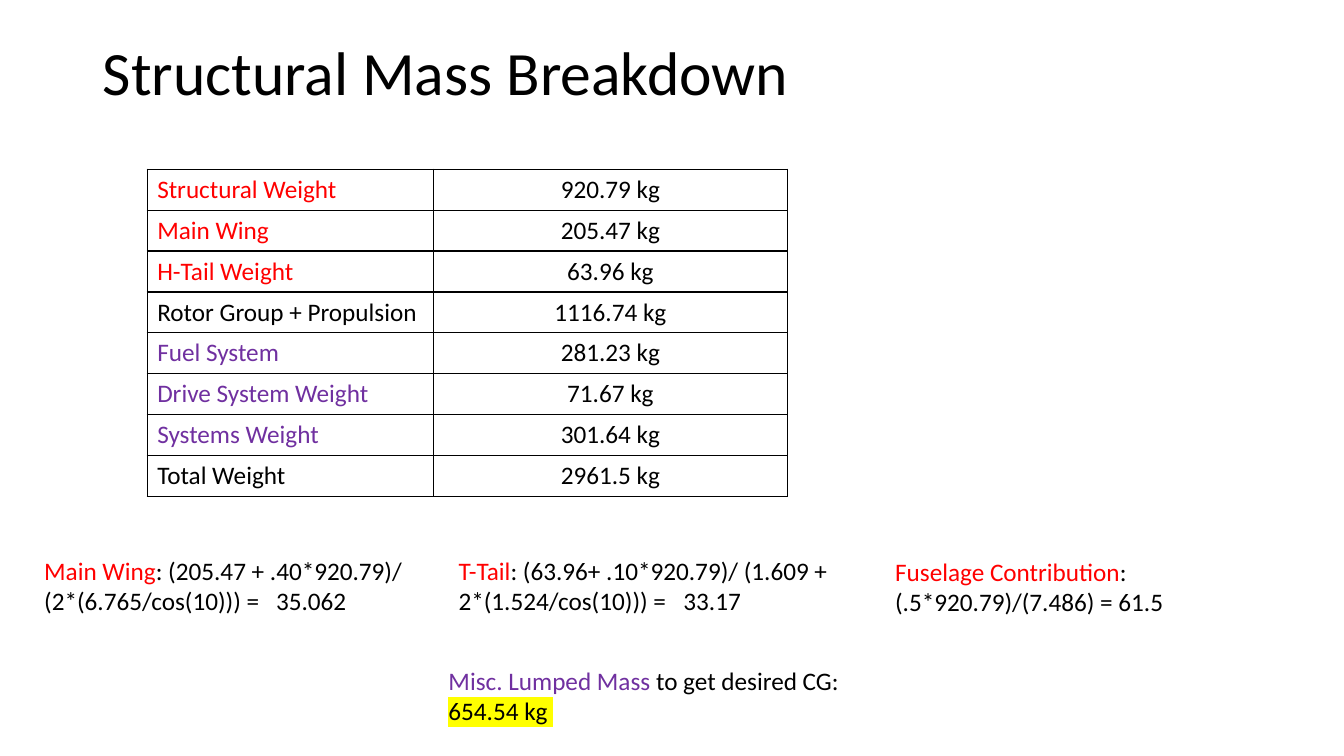
from dataclasses import dataclass
from typing import NamedTuple

from lxml import etree
from pptx import Presentation
from pptx import util as u
from pptx.dml import color as col
from pptx.enum import text as t
from pptx.oxml import ns


@dataclass(frozen=True)
class Theme:
    font: str = "Calibri"
    head: int = 44
    body: int = 18
    black: str = "000000"
    red: str = "FF0000"
    purple: str = "7030A0"
    yellow: str = "FFFF00"
    line: float = 1


class Row(NamedTuple):
    label: str
    mass: str
    color: str


class Piece(NamedTuple):
    words: str
    color: str
    mark: str = ""


class Note(NamedTuple):
    left: float
    top: float
    pieces: list[Piece]
    tab: float = 0


THEME = Theme()

ROWS = [
    Row("Structural Weight", "920.79 kg", THEME.red),
    Row("Main Wing", "205.47 kg", THEME.red),
    Row("H-Tail Weight", "63.96 kg", THEME.red),
    Row("Rotor Group + Propulsion", "1116.74 kg", THEME.black),
    Row("Fuel System", "281.23 kg", THEME.purple),
    Row("Drive System Weight", "71.67 kg", THEME.purple),
    Row("Systems Weight", "301.64 kg", THEME.purple),
    Row("Total Weight", "2961.5 kg", THEME.black),
]

NOTES = [
    Note(0.34, 5.46, [
        Piece("Main Wing", THEME.red),
        Piece(": (205.47 + .40*920.79)/ (2*(6.765/cos(10))) =\t35.062", THEME.black),
    ], tab=2.3),
    Note(4.45, 5.46, [
        Piece("T-Tail", THEME.red),
        Piece(": (63.96+ .10*920.79)/ (1.609 + 2*(1.524/cos(10))) =\t33.17", THEME.black),
    ], tab=2.23),
    Note(8.78, 5.47, [
        Piece("Fuselage Contribution", THEME.red),
        Piece(": (.5*920.79)/(7.486) = 61.5", THEME.black),
    ]),
    Note(4.35, 6.55, [
        Piece("Misc. Lumped Mass ", THEME.purple),
        Piece("to get desired CG: ", THEME.black),
        Piece("654.54 kg ", THEME.black, THEME.yellow),
    ]),
]


def style(run, color: str, size: int = THEME.body) -> None:
    run.font.name = THEME.font
    run.font.size = u.Pt(size)
    run.font.color.rgb = col.RGBColor.from_string(color)


def paint(parent, color: str) -> None:
    """Add a colour to a line fill or highlight."""
    etree.SubElement(parent, ns.qn("a:srgbClr"), val=color)


def border(cell) -> None:
    props = cell._tc.get_or_add_tcPr()
    for i, side in enumerate(("a:lnL", "a:lnR", "a:lnT", "a:lnB")):
        line = etree.Element(ns.qn(side), w=str(u.Pt(THEME.line)))
        paint(etree.SubElement(line, ns.qn("a:solidFill")), THEME.black)
        props.insert(i, line)


def fill_cell(cell, words: str, color: str, align: t.PP_ALIGN) -> None:
    cell.fill.background()
    cell.text_frame.text = words
    para = cell.text_frame.paragraphs[0]
    para.alignment = align
    style(para.runs[0], color)
    border(cell)


def add_title(slide, words: str) -> None:
    title = slide.shapes.title
    title.left, title.top = u.Inches(0.92), u.Inches(0.02)
    title.width, title.height = u.Inches(11.5), u.Inches(1.45)
    frame = title.text_frame
    frame.text = words
    frame.auto_size = t.MSO_AUTO_SIZE.NONE
    frame.vertical_anchor = t.MSO_ANCHOR.MIDDLE
    para = frame.paragraphs[0]
    para.alignment = t.PP_ALIGN.LEFT
    para.line_spacing = 0.9
    style(para.runs[0], THEME.black, THEME.head)


def add_masses(slide, rows: list[Row]) -> None:
    table = slide.shapes.add_table(
        len(rows), 2, u.Inches(1.46), u.Inches(1.68), u.Inches(6.35), u.Inches(3.24)
    ).table
    table.first_row = table.horz_banding = False
    table.columns[0].width = u.Inches(2.84)
    table.columns[1].width = u.Inches(3.51)
    for i, row in enumerate(rows):
        fill_cell(table.cell(i, 0), row.label, row.color, t.PP_ALIGN.LEFT)
        fill_cell(table.cell(i, 1), row.mass, THEME.black, t.PP_ALIGN.CENTER)


def add_note(slide, note: Note) -> None:
    box = slide.shapes.add_textbox(
        u.Inches(note.left), u.Inches(note.top), u.Inches(4.44), u.Inches(0.71)
    )
    frame = box.text_frame
    frame.word_wrap = True
    frame.auto_size = t.MSO_AUTO_SIZE.SHAPE_TO_FIT_TEXT
    para = frame.paragraphs[0]
    # The tab stop sets the gap before the result
    if note.tab:
        stops = etree.SubElement(para._p.get_or_add_pPr(), ns.qn("a:tabLst"))
        etree.SubElement(stops, ns.qn("a:tab"), pos=str(u.Inches(note.tab)), algn="l")
    for piece in note.pieces:
        run = para.add_run()
        run.text = piece.words
        style(run, piece.color)
        if piece.mark:
            mark = etree.Element(ns.qn("a:highlight"))
            paint(mark, piece.mark)
            run._r.rPr.find(ns.qn("a:solidFill")).addnext(mark)


# Slide and title
deck = Presentation()
deck.slide_width, deck.slide_height = u.Inches(13.33), u.Inches(7.5)
slide = deck.slides.add_slide(deck.slide_layouts.get_by_name("Title Only"))
add_title(slide, "Structural Mass Breakdown")

# Mass table
add_masses(slide, ROWS)

# Load notes below the table
for note in NOTES:
    add_note(slide, note)

deck.save("out.pptx")
